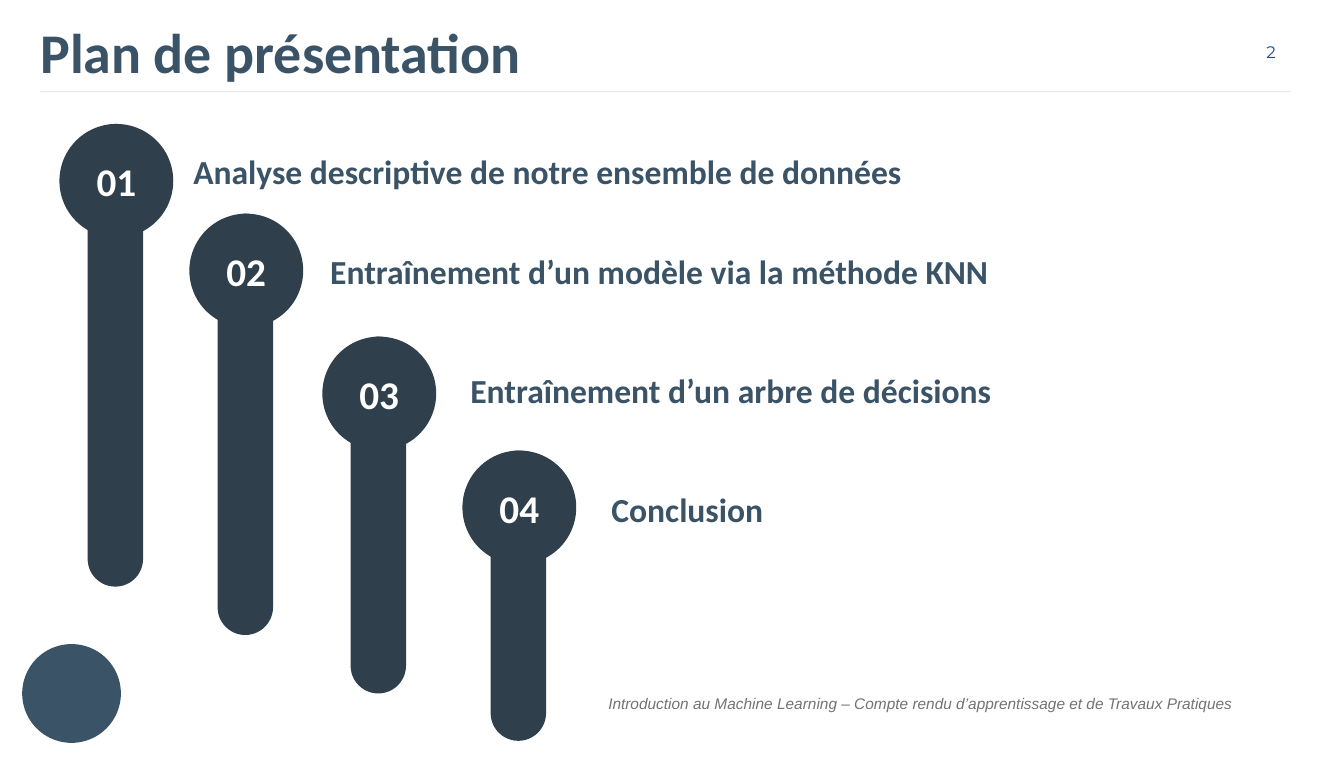
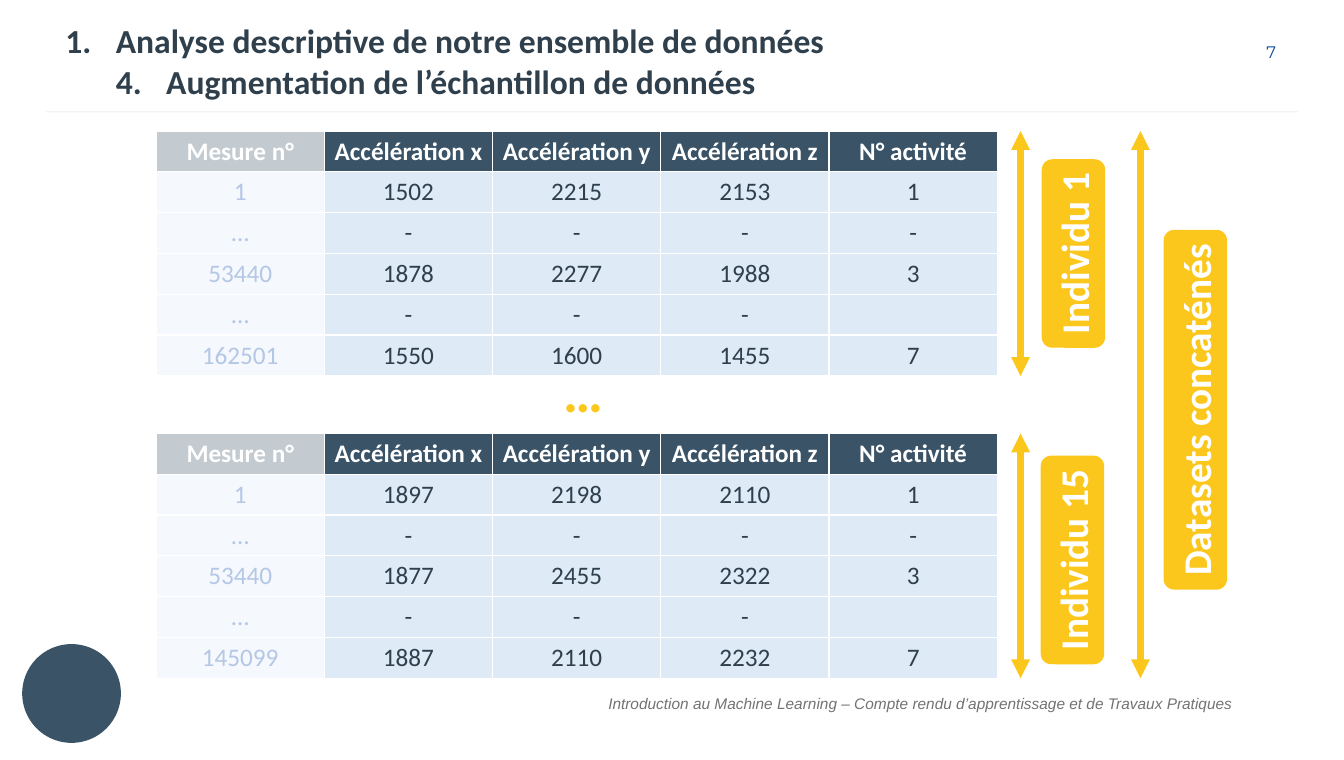
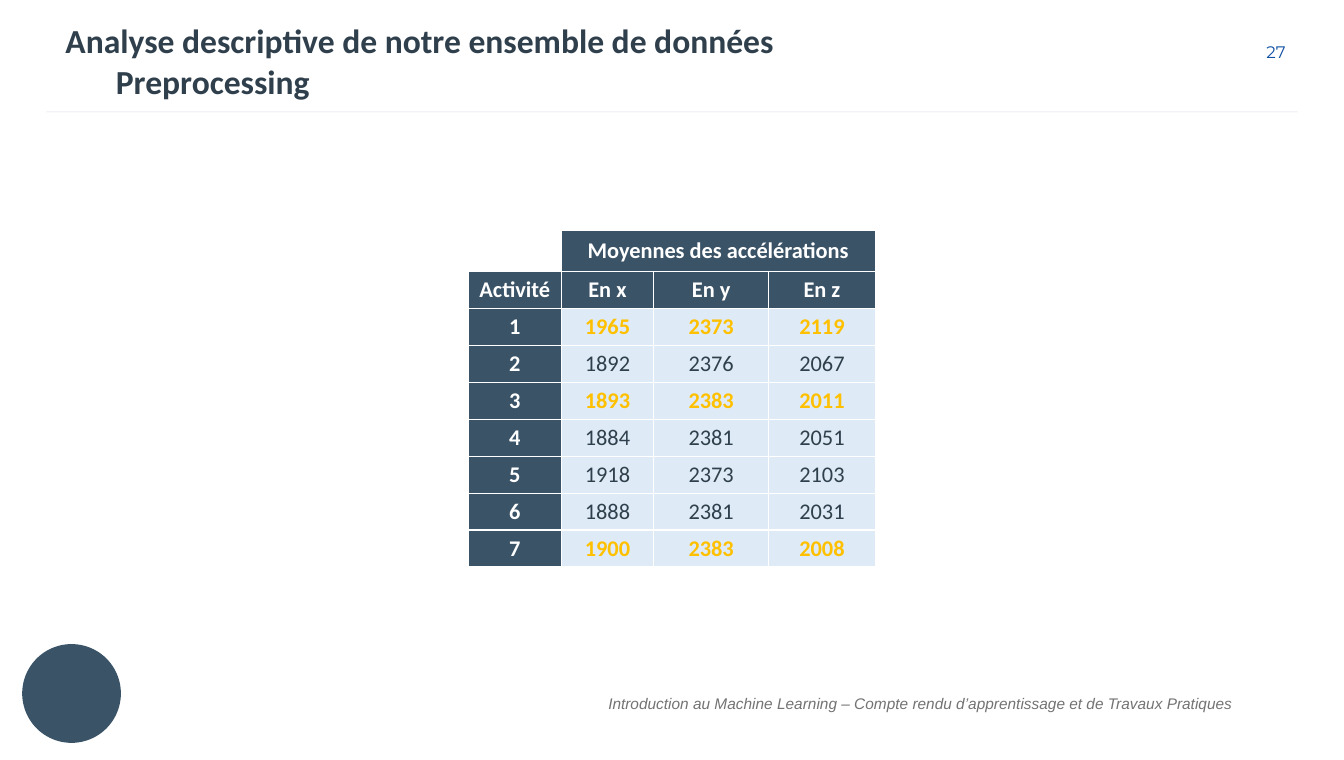
from lxml.etree import SubElement
from pptx import Presentation
from pptx.dml.color import RGBColor
from pptx.enum.shapes import MSO_CONNECTOR, MSO_SHAPE, MSO_SHAPE_TYPE
from pptx.enum.text import MSO_ANCHOR, MSO_AUTO_SIZE, PP_ALIGN
from pptx.oxml.ns import qn
from pptx.util import Inches, Pt

COLORS = {
    "slate": "3A5367", "dark": "2F3F4C", "white": "FFFFFF", "pale": "DEEBF7",
    "faded": "B4C7E7", "yellow": "FCC71D", "highlight": "FFC000",
    "navy": "002060", "number": "1050A3", "grey": "737373",
}
COLORS = {name: RGBColor.from_string(value) for name, value in COLORS.items()}
FOOTER = ("Introduction au Machine Learning – Compte rendu d’apprentissage "
          "et de Travaux Pratiques")


def write(paragraph, text, size, color, bold=True, font="Calibri", italic=False):
    """Add one formatted run."""
    run = paragraph.add_run()
    run.text = text
    run.font.name, run.font.size = font, Pt(size)
    run.font.bold, run.font.italic = bold, italic
    run.font.color.rgb = COLORS[color]


def fade(element, percent):
    """Make the colours inside an element partly transparent."""
    for color in element.iter(qn("a:srgbClr")):
        SubElement(color, qn("a:alpha"), val=str(percent * 1000))


prs = Presentation()
prs.slide_width, prs.slide_height = Inches(13.34), Inches(7.54)
layout = prs.slide_layouts[1]

# Titles: lines are (text, left margin, first-line indent, list number)
SECTION = "Analyse descriptive de notre ensemble de données"
WIDE_TITLE = (0.55, 0.15, 11.08, 0.91)
pages = [
    ("2", (0.3, 0.12, 5.03, 0.77), 40, "slate", (0.4, 12.81, 0.91),
     [("Plan de présentation", 0, 0, None)]),
    ("7", WIDE_TITLE, 24, "dark", (0.46, 12.88, 1.11),
     [(SECTION, 0.5, -0.5, 1),
      ("Augmentation de l’échantillon de données", 1, -0.5, 4)]),
    ("27", WIDE_TITLE, 24, "dark", (0.46, 12.88, 1.11),
     [(SECTION, 0, 0, None), ("Preprocessing", 0.5, 0, None)]),
]

# Shared frame: title, rule, page number, footer
for number, title_box, title_size, title_color, rule_span, title_lines in pages:
    slide = prs.slides.add_slide(layout)

    title = slide.shapes.title
    title.left, title.top, title.width, title.height = map(Inches, title_box)
    frame = title.text_frame
    frame.auto_size, frame.word_wrap = MSO_AUTO_SIZE.NONE, True
    frame.vertical_anchor = MSO_ANCHOR.TOP
    for index, (text, margin, indent, start) in enumerate(title_lines):
        line = frame.add_paragraph() if index else frame.paragraphs[0]
        line.level, line.alignment = index, PP_ALIGN.LEFT
        properties = line._p.get_or_add_pPr()
        properties.set("marL", str(Inches(margin)))
        properties.set("indent", str(Inches(indent)))
        if start:
            SubElement(properties, qn("a:buAutoNum"),
                       type="arabicPeriod", startAt=str(start))
        write(line, text, title_size, title_color)

    left, right, height = map(Inches, rule_span)
    rule = slide.shapes.add_connector(MSO_CONNECTOR.STRAIGHT, left, height, right, height)
    rule.line.color.rgb, rule.line.width = COLORS["navy"], Pt(0.5)
    fade(rule.element, 15)

    page_number = slide.shapes.add_textbox(
        Inches(12.45), Inches(0.36), Inches(0.56), Inches(0.31)).text_frame
    page_number.word_wrap, page_number.vertical_anchor = True, MSO_ANCHOR.MIDDLE
    page_number.margin_left = Inches(0.12)
    page_number.margin_top = page_number.margin_right = page_number.margin_bottom = 0
    write(page_number.paragraphs[0], number, 11.9, "number", False, "Montserrat")

    footer = slide.placeholders[1]
    footer.left, footer.top = Inches(5.93), Inches(6.78)
    footer.width, footer.height = Inches(6.46), Inches(0.41)
    frame = footer.text_frame
    frame.auto_size, frame.vertical_anchor = MSO_AUTO_SIZE.NONE, MSO_ANCHOR.MIDDLE
    frame.margin_left = frame.margin_top = frame.margin_bottom = 0
    frame.margin_right = Inches(0.15)
    line = frame.paragraphs[0]
    line.alignment, line.line_spacing, line.space_before = PP_ALIGN.RIGHT, 0.9, Pt(10)
    properties = line._p.get_or_add_pPr()
    properties.set("marL", "0")
    properties.set("indent", "0")
    SubElement(properties, qn("a:buNone"))
    write(line, FOOTER, 11, "grey", False, "Arial", True)

plan, samples, means = prs.slides

# Corner disc, kept on the layout
disc = plan.shapes.add_shape(
    MSO_SHAPE.OVAL, Inches(0.22), Inches(6.39), Inches(0.98), Inches(0.98))
disc.fill.solid()
disc.fill.fore_color.rgb = COLORS["slate"]
disc.line.fill.background()
disc.shadow.inherit = False
layout.shapes.element.append(disc.element)

# Plan: numbered pins, (left, top, bar bottom, label left, label top, label width, label)
steps = [
    (0.59, 1.23, 5.82, 1.82, 1.28, 8.38, SECTION),
    (1.88, 2.12, 6.3, 3.18, 2.27, 7.33, "Entraînement d’un modèle via la méthode KNN"),
    (3.2, 3.34, 6.88, 4.57, 3.45, 5.91, "Entraînement d’un arbre de décisions"),
    (4.59, 4.47, 7.35, 5.97, 4.63, 4.95, "Conclusion"),
]
for order, (left, top, bottom, label_left, label_top, width, text) in enumerate(steps, 1):
    bar = plan.shapes.add_shape(MSO_SHAPE.ROUNDED_RECTANGLE, Inches(left + 0.28),
                                Inches(top), Inches(0.55), Inches(bottom - top))
    bar.adjustments[0] = 0.5
    head = plan.shapes.add_shape(MSO_SHAPE.OVAL, Inches(left), Inches(top),
                                 Inches(1.13), Inches(1.13))
    for part in (bar, head):
        part.fill.solid()
        part.fill.fore_color.rgb = COLORS["dark"]
        part.line.fill.background()
    head.text_frame.vertical_anchor = MSO_ANCHOR.MIDDLE
    head.text_frame.paragraphs[0].alignment = PP_ALIGN.CENTER
    write(head.text_frame.paragraphs[0], f"{order:02}", 28, "white")

    label = plan.shapes.add_textbox(Inches(label_left), Inches(label_top),
                                    Inches(width), Inches(0.64)).text_frame
    label.word_wrap, label.vertical_anchor = True, MSO_ANCHOR.MIDDLE
    label.paragraphs[0].line_spacing = 1.5
    write(label.paragraphs[0], text, 24, "slate")

# Samples: one table per person
HEADINGS = ["Mesure n°", "Accélération x", "Accélération y", "Accélération z", "N° activité"]
DASHES = ["…", "-", "-", "-", "-"]
LAST_DASHES = ["…", "-", "-", "-", ""]
people = [
    (1.3, [["1", "1502", "2215", "2153", "1"], DASHES,
           ["53440", "1878", "2277", "1988", "3"], LAST_DASHES,
           ["162501", "1550", "1600", "1455", "7"]]),
    (4.3, [["1", "1897", "2198", "2110", "1"], DASHES,
           ["53440", "1877", "2455", "2322", "3"], LAST_DASHES,
           ["145099", "1887", "2110", "2232", "7"]]),
]
for top, measures in people:
    rows = [HEADINGS] + measures
    table = samples.shapes.add_table(len(rows), len(HEADINGS), Inches(1.55), Inches(top),
                                     Inches(8.35), Inches(2.43)).table
    for r, row in enumerate(rows):
        for c, text in enumerate(row):
            cell = table.cell(r, c)
            cell.fill.solid()
            cell.fill.fore_color.rgb = COLORS["pale" if r else "slate"]
            if c == 0:
                fade(cell._tc, 30)
            cell.vertical_anchor = MSO_ANCHOR.TOP if r else MSO_ANCHOR.MIDDLE
            cell.text_frame.paragraphs[0].alignment = PP_ALIGN.CENTER
            color = "white" if r == 0 else "dark" if c else "faded"
            write(cell.text_frame.paragraphs[0], text, 18, color, r == 0)

# Samples: extent arrows, (x, top, bottom)
for x, top, bottom in [(10.13, 1.3, 3.73), (10.13, 4.3, 6.73), (11.32, 1.3, 6.73)]:
    arrow = samples.shapes.add_connector(MSO_CONNECTOR.STRAIGHT, Inches(x), Inches(top),
                                         Inches(x), Inches(bottom))
    arrow.line.color.rgb, arrow.line.width = COLORS["yellow"], Pt(4.5)
    for end in ("a:headEnd", "a:tailEnd"):
        SubElement(arrow.line._get_or_add_ln(), qn(end), type="triangle")

# Samples: vertical tags, (left, top, length before rotation, text)
tags = [(9.72, 2.2, 1.87, "Individu 1"), (9.61, 5.24, 2.07, "Individu 15"),
        (10.08, 3.75, 3.57, "Datasets concaténés")]
for left, top, length, text in tags:
    tag = samples.shapes.add_shape(MSO_SHAPE.ROUNDED_RECTANGLE, Inches(left), Inches(top),
                                   Inches(length), Inches(0.63))
    tag.rotation = 270
    tag.fill.solid()
    tag.fill.fore_color.rgb = COLORS["yellow"]
    tag.line.fill.background()
    tag.text_frame.word_wrap = False
    tag.text_frame.paragraphs[0].alignment = PP_ALIGN.CENTER
    write(tag.text_frame.paragraphs[0], text, 28, "white")

# Samples: people left out between the two tables
omitted = samples.shapes.add_textbox(
    Inches(5.48), Inches(3.46), Inches(0.62), Inches(0.83)).text_frame
omitted.word_wrap, omitted.vertical_anchor = True, MSO_ANCHOR.MIDDLE
omitted.paragraphs[0].alignment = PP_ALIGN.CENTER
write(omitted.paragraphs[0], "…", 40, "yellow")

# Means: acceleration per activity
averages = [
    ["", "Moyennes des accélérations", "", ""],
    ["Activité", "En x", "En y", "En z"],
    ["1", "1965", "2373", "2119"],
    ["2", "1892", "2376", "2067"],
    ["3", "1893", "2383", "2011"],
    ["4", "1884", "2381", "2051"],
    ["5", "1918", "2373", "2103"],
    ["6", "1888", "2381", "2031"],
    ["7", "1900", "2383", "2008"],
]
highlighted = {"1", "3", "7"}
table = means.shapes.add_table(len(averages), 4, Inches(4.65), Inches(2.29),
                               Inches(4.04), Inches(3.3)).table
for column, width in zip(table.columns, (0.92, 0.92, 1.14, 1.06)):
    column.width = Inches(width)
table.cell(0, 1).merge(table.cell(0, 3))
for r, row in enumerate(averages):
    for c, text in enumerate(row):
        is_heading = r < 2 or c == 0
        is_highlighted = row[0] in highlighted
        fill = "white" if r == c == 0 else "slate" if is_heading else "pale"
        color = "white" if is_heading else "highlight" if is_highlighted else "dark"
        cell = table.cell(r, c)
        cell.fill.solid()
        cell.fill.fore_color.rgb = COLORS[fill]
        cell.vertical_anchor = MSO_ANCHOR.MIDDLE
        cell.text_frame.paragraphs[0].alignment = PP_ALIGN.CENTER
        write(cell.text_frame.paragraphs[0], text, 16, color, is_heading or is_highlighted)

# No shadows anywhere
for slide in prs.slides:
    for shape in slide.shapes:
        if shape.shape_type == MSO_SHAPE_TYPE.LINE:
            SubElement(shape.element.spPr, qn("a:effectLst"))
        elif shape.shape_type == MSO_SHAPE_TYPE.AUTO_SHAPE:
            shape.shadow.inherit = False

prs.save("out.pptx")
